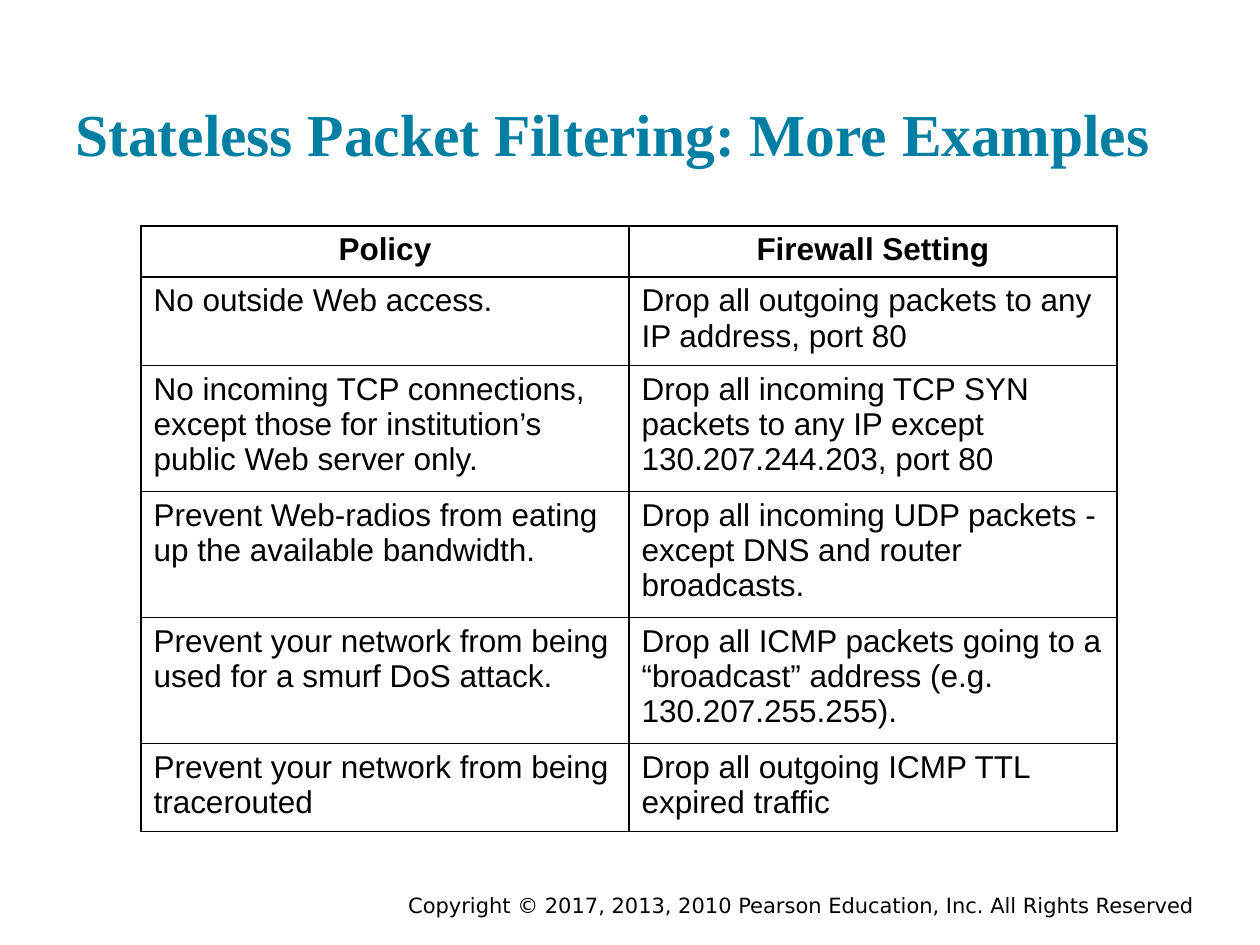
import pptx
import pptx.dml.color
import pptx.enum.text
import pptx.oxml
import pptx.oxml.ns
import pptx.util

PX = 914400 // 126
RGB = pptx.dml.color.RGBColor
ALIGN = pptx.enum.text.PP_ALIGN
ANCHOR = pptx.enum.text.MSO_ANCHOR

THEME = {
    "title": {"font": "Times New Roman", "size": 34, "color": "007FA3", "bold": True},
    "header": {"font": "Arial", "size": 18, "color": "000000", "bold": True},
    "body": {"font": "Arial", "size": 18, "color": "000000", "bold": False},
    "footer": {"font": "DejaVu Sans", "size": 12, "color": "000000", "bold": False},
    "background": "FFFFFF",
    "border": "000000",
}

ROWS = [
    ("Policy", "Firewall Setting"),
    ("No outside Web access.",
     "Drop all outgoing packets to any IP address, port 80"),
    ("No incoming TCP connections, except those for institution’s public Web server only.",
     "Drop all incoming TCP SYN packets to any IP except 130.207.244.203, port 80"),
    ("Prevent Web-radios from eating up the available bandwidth.",
     "Drop all incoming UDP packets - except DNS and router broadcasts."),
    ("Prevent your network from being used for a smurf DoS attack.",
     "Drop all ICMP packets going to a “broadcast” address (e.g. 130.207.255.255)."),
    ("Prevent your network from being tracerouted",
     "Drop all outgoing ICMP TTL expired traffic"),
]
ROW_HEIGHTS = [51, 88, 126, 126, 126, 88]
COLUMN_WIDTH = 488


def write(tf, text, style, align):
    p = tf.paragraphs[0]
    p.text = text
    p.alignment = align
    look = THEME[style]
    p.font.name = look["font"]
    p.font.size = pptx.util.Pt(look["size"])
    p.font.bold = look["bold"]
    p.font.color.rgb = RGB.from_string(look["color"])


def add_borders(cell):
    tcPr = cell._tc.get_or_add_tcPr()
    for i, side in enumerate(("lnL", "lnR", "lnT", "lnB")):
        tcPr.insert(i, pptx.oxml.parse_xml(
            f'<a:{side} {pptx.oxml.ns.nsdecls("a")} w="12700"><a:solidFill>'
            f'<a:srgbClr val="{THEME["border"]}"/></a:solidFill></a:{side}>'))


prs = pptx.Presentation()
prs.slide_width = 1260 * PX
prs.slide_height = 945 * PX
s = prs.slides.add_slide(prs.slide_layouts[6])
s.background.fill.solid()
s.background.fill.fore_color.rgb = RGB.from_string(THEME["background"])

# Title and footer
for text, style, box, anchor, align in (
    ("Stateless Packet Filtering: More Examples", "title",
     (63, 30, 1134, 151), ANCHOR.BOTTOM, ALIGN.LEFT),
    ("Copyright © 2017, 2013, 2010 Pearson Education, Inc. All Rights Reserved", "footer",
     (368, 889, 839, 32), ANCHOR.MIDDLE, ALIGN.RIGHT),
):
    sp = s.shapes.add_textbox(*(n * PX for n in box))
    tf = sp.text_frame
    tf.word_wrap = True
    tf.vertical_anchor = anchor
    if style == "title":
        tf.margin_top = tf.margin_bottom = 13 * PX
    write(tf, text, style, align)

# Policy table
table = s.shapes.add_table(
    len(ROWS), 2, 141 * PX, 226 * PX,
    2 * COLUMN_WIDTH * PX, sum(ROW_HEIGHTS) * PX).table
for column in table.columns:
    column.width = COLUMN_WIDTH * PX
for r, (texts, height) in enumerate(zip(ROWS, ROW_HEIGHTS)):
    table.rows[r].height = height * PX
    for c, text in enumerate(texts):
        cell = table.cell(r, c)
        cell.fill.background()
        add_borders(cell)
        if r == 0:
            write(cell.text_frame, text, "header", ALIGN.CENTER)
        else:
            write(cell.text_frame, text, "body", ALIGN.LEFT)

prs.save("out.pptx")
